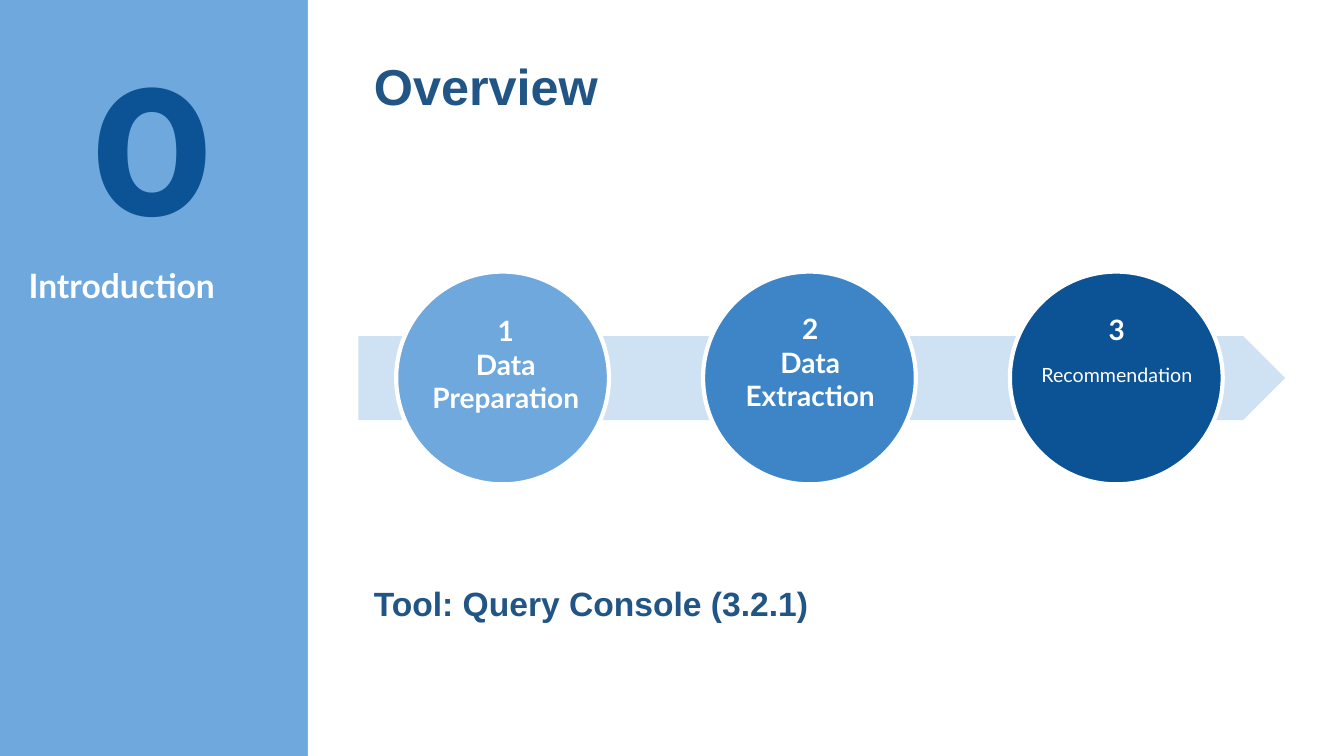
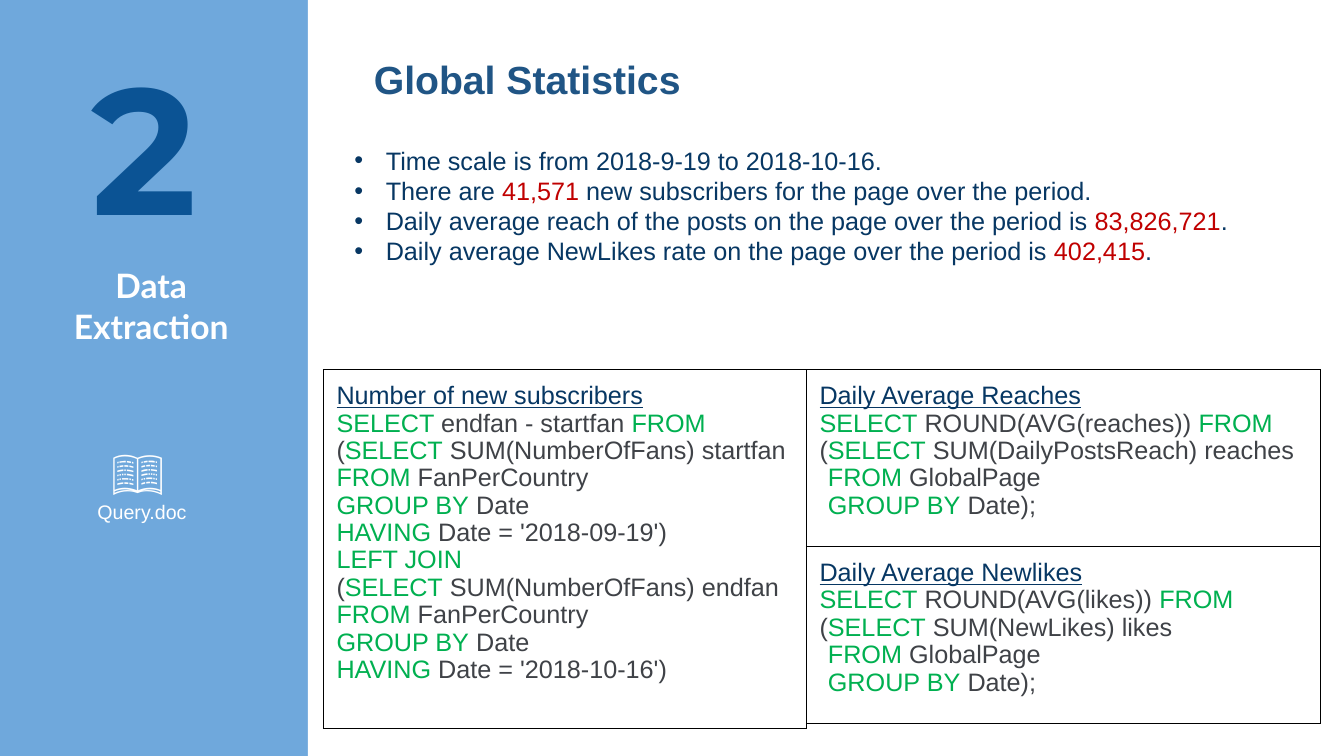
"""Build an overview slide and a query statistics slide with a shared sidebar."""
from lxml import etree
from pptx import Presentation
from pptx.dml.color import RGBColor
from pptx.enum.shapes import MSO_SHAPE
from pptx.enum.text import MSO_ANCHOR, MSO_AUTO_SIZE, PP_ALIGN
from pptx.oxml.ns import qn
from pptx.util import Pt

LEFT, CENTER = PP_ALIGN.LEFT, PP_ALIGN.CENTER
TOP, NO_RESIZE = MSO_ANCHOR.TOP, MSO_AUTO_SIZE.NONE
RECTANGLE, ELLIPSE, PENTAGON = MSO_SHAPE.RECTANGLE, MSO_SHAPE.OVAL, MSO_SHAPE.PENTAGON

WHITE, SKY, BLUE, DEEP, PALE = "FFFFFF", "6FA8DC", "3D85C6", "0B5394", "CFE2F3"
HEADING, NAVY, RED, GREEN, GRAY = "205585", "073763", "C00000", "00B050", "3F4247"
SIDEBAR_WIDTH, SLIDE_WIDTH, SLIDE_HEIGHT = 220, 960, 540
CELL_MARGIN = 9.4

STEPS = [
    (["1", "Data", "Preparation"], SKY, (273, 220.5)),
    (["2", "Data", "Extraction"], BLUE, (490.5, 219)),
    (["3", "Recommendation"], DEEP, (709.5, 219.5)),
]
FACTS = [
    "Time scale is from 2018-9-19 to 2018-10-16.",
    "There are *41,571* new subscribers for the page over the period.",
    "Daily average reach of the posts on the page over the period is *83,826,721*.",
    "Daily average NewLikes rate on the page over the period is *402,415*.",
]
SUBSCRIBERS = ("Number of new subscribers", [
    "*SELECT *endfan - startfan *FROM*",
    "(*SELECT* SUM(NumberOfFans) startfan",
    "*FROM* FanPerCountry ",
    "*GROUP BY* Date",
    "*HAVING* Date = '2018-09-19')",
    "*LEFT JOIN*",
    "(*SELECT* SUM(NumberOfFans) endfan",
    "*FROM* FanPerCountry ",
    "*GROUP BY* Date",
    "*HAVING* Date = '2018-10-16')",
], 0)
REACHES = ("Daily Average Reaches", [
    "*SELECT* ROUND(AVG(reaches)) *FROM *",
    "(*SELECT* SUM(DailyPostsReach) reaches ",
    "*FROM* GlobalPage ",
    "*GROUP BY* Date);",
], 2)
LIKES = ("Daily Average Newlikes", [
    "*SELECT* ROUND(AVG(likes)) *FROM *",
    "(*SELECT* SUM(NewLikes) likes ",
    "*FROM* GlobalPage ",
    "*GROUP BY* Date);",
], 2)
TABLES = [
    ((231, 264, 345, 256.4), [SUBSCRIBERS]),
    ((576, 264, 367, 252.8), [REACHES, LIKES]),
]


def rgb(color):
    return RGBColor.from_string(color)


def add_run(paragraph, text, size, color, font="Arial", bold=False, underline=False):
    run = paragraph.add_run()
    run.text = text
    run.font.size, run.font.name = Pt(size), font
    run.font.bold, run.font.underline = bold, underline
    run.font.color.rgb = rgb(color)


def add_marked_runs(paragraph, text, color, accent):
    for index, part in enumerate(text.split("*")):
        if part:
            add_run(paragraph, part, 18, accent if index % 2 else color)


def next_paragraph(frame, index):
    return frame.add_paragraph() if index else frame.paragraphs[0]


def set_frame(frame, margins):
    frame.word_wrap, frame.auto_size = True, NO_RESIZE
    frame.vertical_anchor = TOP
    frame.margin_left = frame.margin_right = Pt(margins[0])
    frame.margin_top = frame.margin_bottom = Pt(margins[1])
    return frame


def add_text_frame(slide, box, margins=(7.2, 3.6)):
    shape = slide.shapes.add_textbox(*map(Pt, box))
    return set_frame(shape.text_frame, margins)


def add_block(slide, kind, box, fill, line_width=0):
    shape = slide.shapes.add_shape(kind, *map(Pt, box))
    shape.shadow.inherit = False
    shape.fill.solid()
    shape.fill.fore_color.rgb = rgb(fill)
    if line_width:
        shape.line.color.rgb = rgb(WHITE)
        shape.line.width = Pt(line_width)
    else:
        shape.line.fill.background()


def add_heading(slide, text, size, top):
    frame = add_text_frame(slide, (260, top, 454, 40), (7.2, 7.2))
    add_run(frame.paragraphs[0], text, size, HEADING, bold=True)


def add_section_slide(presentation, number, title_lines, alignment):
    slide = presentation.slides.add_slide(presentation.slide_layouts[5])
    add_block(slide, RECTANGLE, (SIDEBAR_WIDTH, 0, SLIDE_WIDTH - SIDEBAR_WIDTH, SLIDE_HEIGHT), WHITE)
    title = slide.shapes.title
    title.left, title.top, title.width, title.height = map(Pt, (11, 180, 194, 90))
    frame = set_frame(title.text_frame, (CELL_MARGIN, CELL_MARGIN))
    for index, line in enumerate(title_lines):
        paragraph = next_paragraph(frame, index)
        paragraph.alignment = alignment
        add_run(paragraph, line, 24, WHITE, "Lato", True)
    number_frame = add_text_frame(slide, (56, 16.5, 190, 132), (CELL_MARGIN, CELL_MARGIN))
    add_run(number_frame.paragraphs[0], number, 128, DEEP, "Montserrat", True)
    return slide


def add_step(slide, index, lines, color, label_corner):
    add_block(slide, ELLIPSE, (283 + 219.2 * index, 194, 152, 152), color, 3)
    frame = add_text_frame(slide, (*label_corner, 176.5, 80))
    for position, line in enumerate(lines):
        paragraph = next_paragraph(frame, position)
        paragraph.alignment = CENTER
        small = line == "Recommendation"
        if small:
            paragraph.space_before = Pt(12)
        add_run(paragraph, line, 14 if small else 20, WHITE, "Lato", not small)


def add_facts(slide):
    frame = add_text_frame(slide, (246, 100, 646, 117))
    for index, fact in enumerate(FACTS):
        paragraph = next_paragraph(frame, index)
        properties = paragraph._p.get_or_add_pPr()
        properties.set("marL", str(Pt(22.5)))
        properties.set("indent", str(Pt(-22.5)))
        etree.SubElement(properties, qn("a:buFont"), typeface="Arial")
        etree.SubElement(properties, qn("a:buChar"), char="•")
        add_marked_runs(paragraph, fact, NAVY, RED)


def add_cell_borders(cell):
    properties = cell._tc.get_or_add_tcPr()
    for index, side in enumerate(("lnL", "lnR", "lnT", "lnB")):
        line = etree.Element(qn("a:" + side), w=str(Pt(0.75)))
        fill = etree.SubElement(line, qn("a:solidFill"))
        etree.SubElement(fill, qn("a:srgbClr"), val="000000")
        properties.insert(index, line)


def fill_query_cell(cell, heading, code, indented):
    cell.fill.background()
    cell.margin_left = cell.margin_right = Pt(CELL_MARGIN)
    cell.margin_top = cell.margin_bottom = Pt(CELL_MARGIN)
    add_cell_borders(cell)
    frame = cell.text_frame
    add_run(frame.paragraphs[0], heading, 18, NAVY, underline=True)
    for index, line in enumerate(code):
        paragraph = frame.add_paragraph()
        if index >= len(code) - indented:
            paragraph._p.get_or_add_pPr().set("indent", str(Pt(6)))
        add_marked_runs(paragraph, line, GRAY, GREEN)
    for paragraph in frame.paragraphs:
        paragraph.line_spacing = 0.97


def add_query_table(slide, box, queries):
    table = slide.shapes.add_table(len(queries), 1, *map(Pt, box)).table
    table.first_row = table.horz_banding = False
    for index, query in enumerate(queries):
        table.rows[index].height = Pt(box[3] / len(queries))
        fill_query_cell(table.cell(index, 0), *query)


def build_overview(presentation):
    slide = add_section_slide(presentation, "0", ["Introduction"], LEFT)
    add_block(slide, PENTAGON, (256, 240, 662, 60), PALE)
    for index, step in enumerate(STEPS):
        add_step(slide, index, *step)
    add_heading(slide, "Overview", 36, 32.5)
    add_heading(slide, "Tool: Query Console (3.2.1)", 24, 409.5)


def build_statistics(presentation):
    slide = add_section_slide(presentation, "2", ["Data", "Extraction"], CENTER)
    add_heading(slide, "Global Statistics ", 28, 32.5)
    frame = add_text_frame(slide, (62.5, 310, 91.5, 68))
    icon = frame.paragraphs[0]
    icon._p.get_or_add_pPr().set("indent", str(Pt(10)))
    add_run(icon, "📖", 36, WHITE)
    add_run(frame.add_paragraph(), "Query.doc", 14, WHITE)
    add_facts(slide)
    for box, queries in TABLES:
        add_query_table(slide, box, queries)


def main():
    presentation = Presentation()
    presentation.slide_width, presentation.slide_height = Pt(SLIDE_WIDTH), Pt(SLIDE_HEIGHT)
    background = presentation.slide_master.background.fill
    background.solid()
    background.fore_color.rgb = rgb(SKY)
    build_overview(presentation)
    build_statistics(presentation)
    presentation.save("out.pptx")


main()
